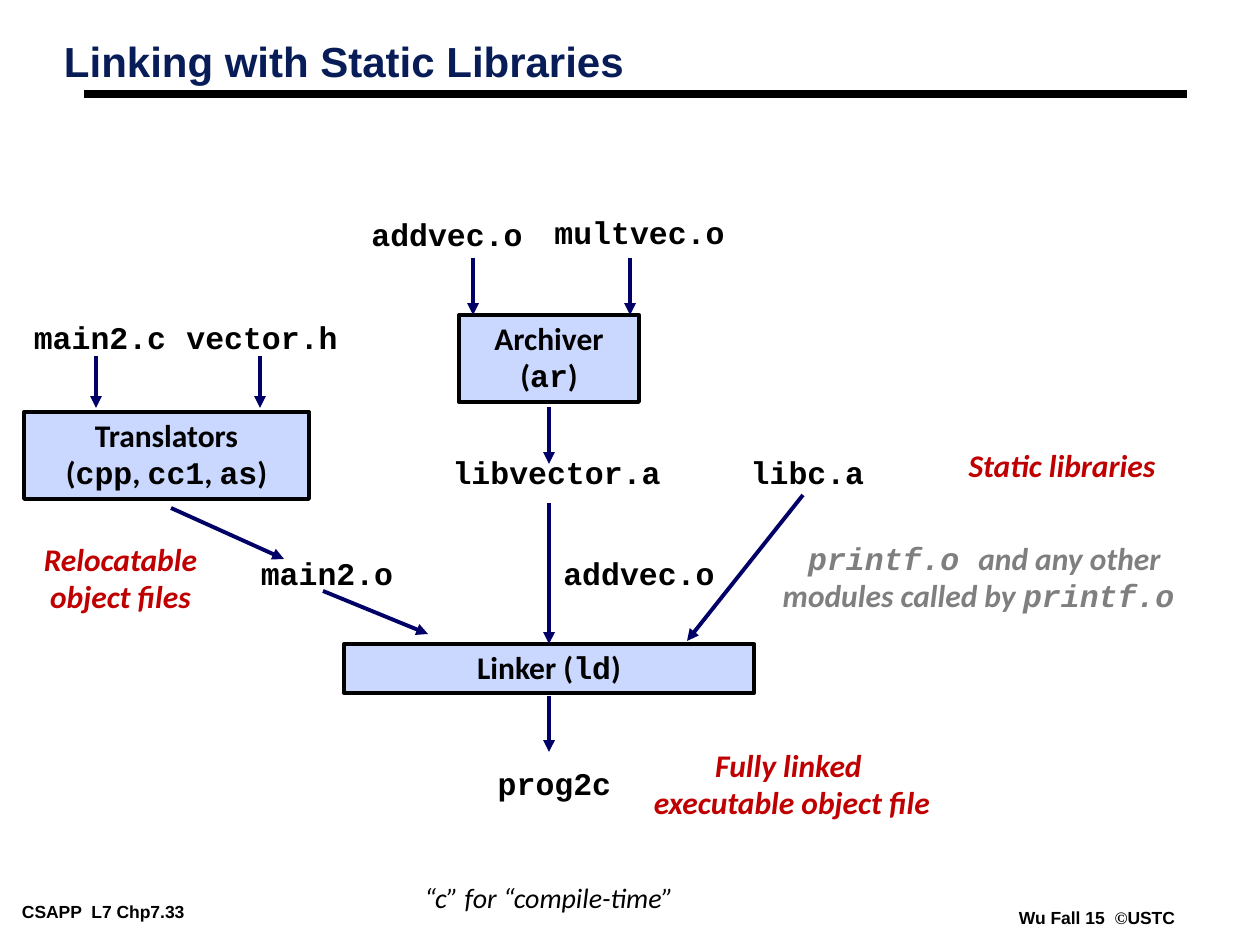
"""Build the slide on linking with static libraries."""
from lxml import etree
from pptx import Presentation
from pptx.dml.color import RGBColor
from pptx.enum.shapes import MSO_CONNECTOR, MSO_SHAPE
from pptx.enum.text import MSO_ANCHOR, MSO_AUTO_SIZE, PP_ALIGN
from pptx.oxml.ns import qn
from pptx.util import Pt

PX = 914400 / 126
LEFT, CENTER = PP_ALIGN.LEFT, PP_ALIGN.CENTER
TOP, GROW = MSO_ANCHOR.TOP, MSO_AUTO_SIZE.SHAPE_TO_FIT_TEXT
RECT, LINE = MSO_SHAPE.RECTANGLE, MSO_CONNECTOR.STRAIGHT
BLACK = RGBColor(0x00, 0x00, 0x00)
NAVY = RGBColor(0x08, 0x1D, 0x58)
BLUE = RGBColor(0x00, 0x00, 0x66)
PALE = RGBColor(0xCA, 0xD7, 0xFE)
RED = RGBColor(0xC0, 0x00, 0x00)
GRAY = RGBColor(0x7F, 0x7F, 0x7F)
SANS, BODY, CODE, SERIF = "Arial", "Calibri", "Courier New", "Times New Roman"
SPACING = {BODY: 0.98, CODE: 0.94}
WIDE, TIGHT = (10, 6), (9, 4)

TITLE = [[("Linking with Static Libraries", SANS)]]
FOOTERS = [
    ((13, 897, 246, 28), [[("CSAPP  L7 Chp7.33", SANS)]]),
    ((1010, 903, 176, 28),
     [[("Wu Fall 15  ", SANS), ("©", SERIF), ("USTC", SANS)]]),
]
FILES = [
    ("main2.c", 21, 315, 158), ("vector.h", 174, 315, 176),
    ("addvec.o", 359, 212, 176), ("multvec.o", 542, 210, 195),
    ("libvector.a", 440, 450, 233), ("libc.a", 738, 450, 139),
    ("main2.o", 248, 551, 158), ("addvec.o", 551, 551, 176),
    ("prog2c", 485, 761, 139),
]
STEPS = [
    ((24, 412, 285, 87), [
        [("Translators", BODY)],
        [("(", BODY), ("cpp", CODE), (", ", BODY), ("cc1", CODE),
         (", ", BODY), ("as", CODE), (")", BODY)]]),
    ((459, 315, 180, 87), [
        [("Archiver", BODY)],
        [("(", BODY), ("ar", CODE), (")", BODY)]]),
    ((344, 644, 410, 49), [
        [("Linker (", BODY), ("ld", CODE), (")", BODY)]]),
]
NOTES = [
    ((956, 442, 212, 50), RED, [[("Static libraries", BODY)]]),
    ((31, 536, 179, 87), RED,
     [[("Relocatable", BODY)], [("object files", BODY)]]),
    ((641, 742, 302, 87), RED,
     [[("Fully linked ", BODY)], [("executable object file", BODY)]]),
    ((770, 536, 436, 86), GRAY, [
        [("printf.o ", CODE), ("and any other ", BODY)],
        [("modules called by ", BODY), ("printf.o ", CODE)]]),
]
REMARK = [[("“c” for “compile-time”", BODY)]]
RULE = (84, 94, 1187, 94)
ARROWS = [
    (96, 356, 96, 408), (260, 356, 260, 408),
    (473, 258, 473, 315), (630, 258, 630, 315),
    (549, 407, 549, 464), (549, 503, 549, 644), (549, 696, 549, 752),
    (171, 508, 284, 559), (323, 591, 428, 634), (803, 495, 687, 641),
]


def scale(nums):
    return [round(num * PX) for num in nums]


def write(shape, paras, size=18, color=BLACK, bold=True, slant=False,
          align=CENTER, pad=WIDE, wrap=False, space=None):
    frame = shape.text_frame
    frame.word_wrap = wrap
    frame.auto_size = GROW
    frame.vertical_anchor = TOP
    side, edge = scale(pad)
    frame.margin_left = frame.margin_right = side
    frame.margin_top = frame.margin_bottom = edge
    for idx, runs in enumerate(paras):
        para = frame.add_paragraph() if idx else frame.paragraphs[0]
        para.alignment = align
        para.line_spacing = space or SPACING[runs[0][1]]
        for text, face in runs:
            run = para.add_run()
            run.text = text
            font = run.font
            font.name, font.size = face, Pt(size)
            font.bold, font.italic = bold, slant
            font.color.rgb = color


def label(slide, box, paras, **style):
    write(slide.shapes.add_textbox(*scale(box)), paras, **style)


def step(slide, box, paras):
    shape = slide.shapes.add_shape(RECT, *scale(box))
    shape.shadow.inherit = False
    shape.fill.solid()
    shape.fill.fore_color.rgb = PALE
    shape.line.color.rgb = BLACK
    shape.line.width = Pt(2.25)
    write(shape, paras, wrap=True)


def stroke(slide, ends, color, width, head=False):
    line = slide.shapes.add_connector(LINE, *scale(ends))
    line.line.color.rgb = color
    line.line.width = Pt(width)
    props = line._element.spPr
    if head:
        etree.SubElement(props.find(qn("a:ln")), qn("a:tailEnd"),
                         type="triangle")
    etree.SubElement(props, qn("a:effectLst"))


def main():
    deck = Presentation()
    deck.slide_width, deck.slide_height = scale((1260, 945))
    slide = deck.slides.add_slide(deck.slide_layouts[5])
    title = slide.shapes.title
    title.left, title.top, title.width, title.height = scale((55, 38, 774, 108))
    write(title, TITLE, 24, NAVY, align=LEFT, pad=TIGHT, wrap=True, space=0.87)
    stroke(slide, RULE, BLACK, 4.5)
    for box, paras in FOOTERS:
        label(slide, box, paras, size=10, align=LEFT, pad=TIGHT, space=1.0)
    for box, paras in STEPS:
        step(slide, box, paras)
    for name, left, top, width in FILES:
        label(slide, (left, top, width, 48), [[(name, CODE)]])
    for box, color, paras in NOTES:
        label(slide, box, paras, color=color, slant=True)
    label(slide, (411, 875, 276, 47), REMARK, size=16, bold=False,
          slant=True, space=1.0)
    for ends in ARROWS:
        stroke(slide, ends, BLUE, 2.25, head=True)
    deck.save("out.pptx")


if __name__ == "__main__":
    main()
